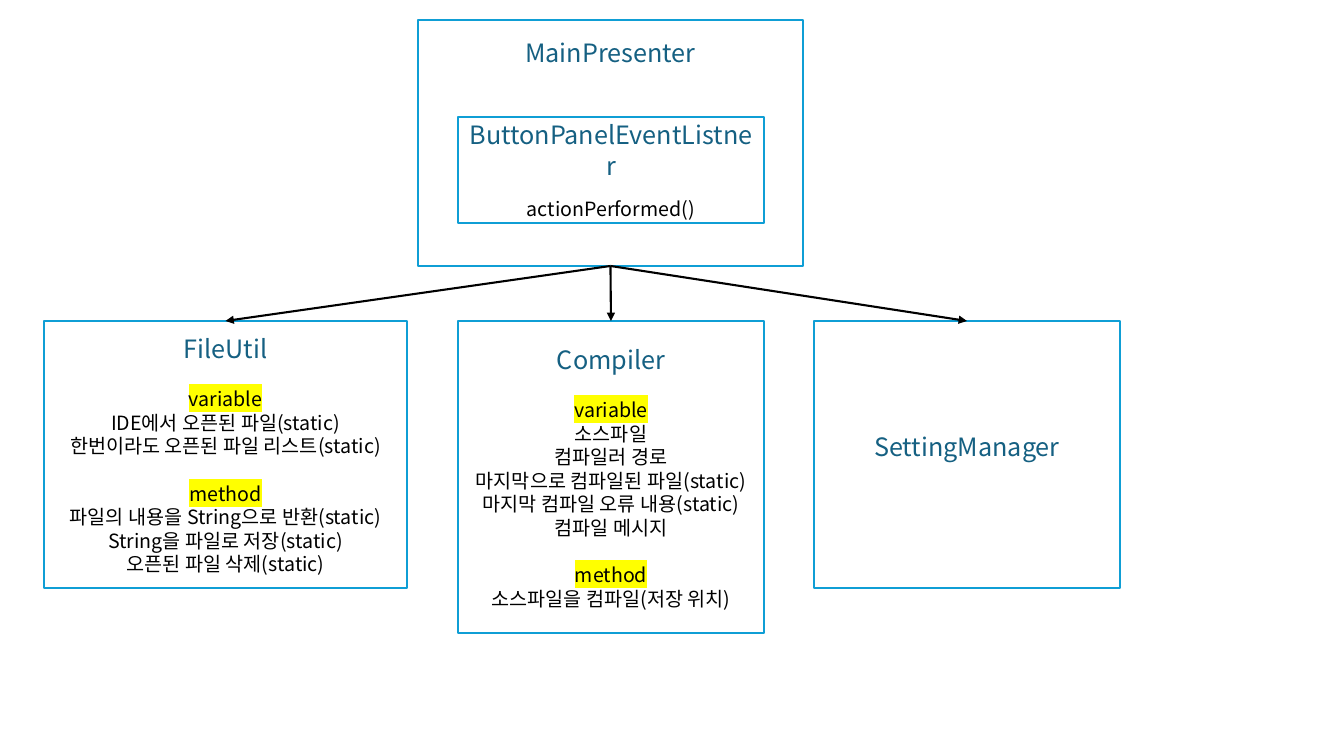
from lxml.etree import SubElement as Sub
from pptx import Presentation
from pptx.dml.color import RGBColor as RGB
from pptx.enum.shapes import MSO_CONNECTOR as Conn, MSO_SHAPE as Shape
from pptx.enum.text import MSO_ANCHOR as Anchor, PP_ALIGN as Align
from pptx.oxml.ns import qn
from pptx.util import Pt

FONT = "Noto Sans CJK KR"
BLUE, TEAL, BLACK, WHITE, YELLOW = "0F9ED5", "156082", "000000", "FFFFFF", "FFFF00"

# Boxes: place in px, title, sections of (heading, lines)
MAIN = ((418, 20, 385, 246), "MainPresenter", [])
EVENT = ((458, 117, 306, 106), "ButtonPanelEventListner",
         [(None, ["actionPerformed()"])])
PARTS = [
    ((44, 321, 363, 267), "FileUtil", [
        ("variable", ["IDE에서 오픈된 파일(static)",
                      "한번이라도 오픈된 파일 리스트(static)"]),
        ("method", ["파일의 내용을 String으로 반환(static)",
                    "String을 파일로 저장(static)",
                    "오픈된 파일 삭제(static)"])]),
    ((458, 321, 306, 312), "Compiler", [
        ("variable", ["소스파일", "컴파일러 경로",
                      "마지막으로 컴파일된 파일(static)",
                      "마지막 컴파일 오류 내용(static)",
                      "컴파일 메시지"]),
        ("method", ["소스파일을 컴파일(저장 위치)"])]),
    ((814, 321, 306, 267), "SettingManager", []),
]


def px(n):
    return round(n * 914400 / 100.8)


def color(code):
    return RGB.from_string(code)


def write(para, text, size, tint, gap=0, mark=None):
    para.alignment = Align.CENTER
    para.space_before = Pt(gap)
    font = para.font
    font.size, font.name = Pt(size), FONT
    font.color.rgb = color(tint)
    run = para.add_run()
    run.text = text
    if mark:
        light = Sub(run._r.get_or_add_rPr(), qn("a:highlight"))
        Sub(light, qn("a:srgbClr"), val=mark)


def add_box(shapes, data, gap=17):
    place, title, parts = data
    box = shapes.add_shape(Shape.RECTANGLE, *map(px, place))
    box.shadow.inherit = False
    box.fill.solid()
    box.fill.fore_color.rgb = color(WHITE)
    box.line.color.rgb = color(BLUE)
    box.line.width = Pt(1.5)
    frame = box.text_frame
    frame.word_wrap = True
    frame.vertical_anchor = Anchor.MIDDLE
    write(frame.paragraphs[0], title, 18, TEAL)
    for head, lines in parts:
        rows = [(head, YELLOW)] if head else []
        rows += [(line, None) for line in lines]
        for i, (text, mark) in enumerate(rows):
            write(frame.add_paragraph(), text, 14, BLACK, 0 if i else gap, mark)
    return box


def add_arrow(shapes, start, end):
    arrow = shapes.add_connector(Conn.STRAIGHT, 0, 0, 0, 0)
    arrow.begin_connect(start, 2)
    arrow.end_connect(end, 0)
    arrow.line.color.rgb = color(BLACK)
    arrow.line.width = Pt(1.5)
    Sub(arrow.line._get_or_add_ln(), qn("a:tailEnd"), type="triangle")
    Sub(arrow._element.spPr, qn("a:effectLst"))


def main():
    deck = Presentation()
    deck.slide_width, deck.slide_height = px(1344), px(756)
    shapes = deck.slides.add_slide(deck.slide_layouts[6]).shapes

    # Presenter with its listener inside
    group = shapes.add_group_shape().shapes
    top = add_box(group, MAIN)
    top.text_frame.vertical_anchor = Anchor.TOP
    top.text_frame.margin_top = px(17)
    add_box(group, EVENT, gap=12)

    # Helper classes, then the arrows to them
    boxes = [add_box(shapes, data) for data in PARTS]
    boxes[-1].text_frame.margin_bottom = px(22)
    for box in boxes:
        add_arrow(shapes, top, box)

    deck.save("out.pptx")


if __name__ == "__main__":
    main()
